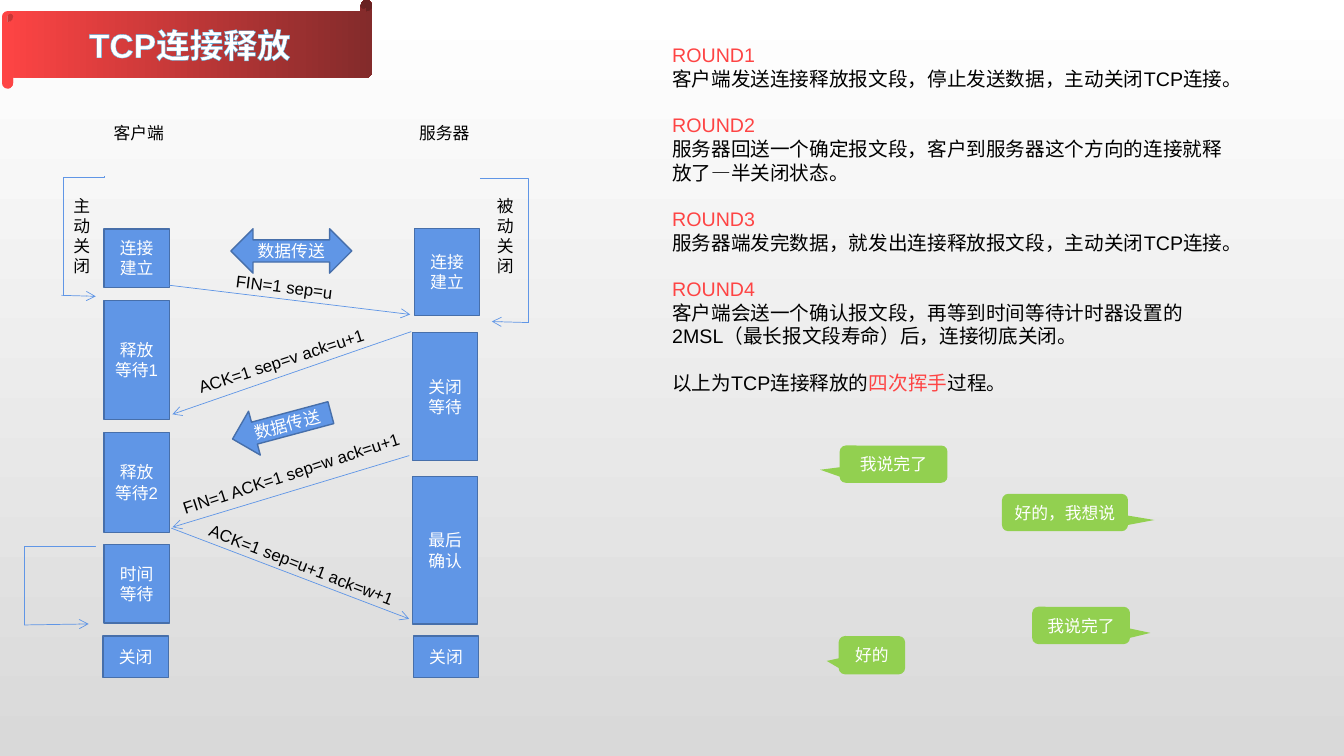
"""Build the slide on how a TCP connection is released."""
import pptx
import pptx.dml.color
import pptx.enum.dml
import pptx.enum.shapes
import pptx.enum.text
import pptx.oxml
import pptx.oxml.ns
import pptx.util

THEME = {
    "font": "Arial", "title size": 24, "body size": 14, "label size": 12,
    "white": "FFFFFF", "black": "000000", "gray": "D9D9D9",
    "red": "FE4444", "dark red": "832B2B",
    "blue": "6096E6", "dark blue": "476FAA", "title outline": "58B6E5",
    "green": "92D050",
}
CELL = pptx.util.Inches(0.1)
COLUMNS, ROWS = 133.33, 75
SHAPE = pptx.enum.shapes.MSO_SHAPE
CONNECTOR = pptx.enum.shapes.MSO_CONNECTOR
COLOR = {name: pptx.dml.color.RGBColor.from_string(value)
         for name, value in THEME.items() if name not in ("font",) and isinstance(value, str)}

presentation = pptx.Presentation()
presentation.slide_width = int(COLUMNS * CELL)
presentation.slide_height = ROWS * CELL
slide = presentation.slides.add_slide(presentation.slide_layouts[6])


def add_label(box, text, kind=None, fill=None, line=None, size="label size", rotation=0):
    """Place text in a preset shape, or in a plain text box when no kind is given."""
    bounds = [int(length * CELL) for length in box]
    if kind is None:
        shape = slide.shapes.add_textbox(*bounds)
    else:
        shape = slide.shapes.add_shape(kind, *bounds)
        shape.shadow.inherit = False
        shape.text_frame.vertical_anchor = pptx.enum.text.MSO_ANCHOR.MIDDLE
        if fill:
            shape.fill.solid()
            shape.fill.fore_color.rgb = COLOR[fill]
        if line:
            shape.line.color.rgb = COLOR[line]
            shape.line.width = pptx.util.Pt(1)
        else:
            shape.line.fill.background()
    shape.rotation = rotation
    shape.text_frame.word_wrap = True
    shape.text_frame.text = text
    paragraph = shape.text_frame.paragraphs[0]
    if kind is not None:
        paragraph.alignment = pptx.enum.text.PP_ALIGN.CENTER
    paragraph.font.name = THEME["font"]
    paragraph.font.size = pptx.util.Pt(THEME[size])
    paragraph.font.color.rgb = COLOR["black" if kind is None else "white"]
    return shape


def add_line(points, kind=CONNECTOR.STRAIGHT, arrow=True):
    """Draw a thin blue connector between two grid points."""
    connector = slide.shapes.add_connector(kind, *[int(length * CELL) for length in points])
    connector.line.color.rgb = COLOR["blue"]
    connector.line.width = pptx.util.Pt(0.5)
    properties = connector.element.spPr
    if arrow:
        outline = properties.find(pptx.oxml.ns.qn("a:ln"))
        outline.append(pptx.oxml.parse_xml(
            f'<a:tailEnd {pptx.oxml.ns.nsdecls("a")} type="arrow"/>'))
    properties.append(pptx.oxml.parse_xml(f'<a:effectLst {pptx.oxml.ns.nsdecls("a")}/>'))
    return connector


title = add_label((0.2, 0, 36.7, 8.8), "TCP连接释放", SHAPE.HORIZONTAL_SCROLL, size="title size")
title.text_frame.paragraphs[0].font.bold = True
title_run = title.text_frame.paragraphs[0].runs[0]
title_run.font.bold = True
title_run.font._element.insert(0, pptx.oxml.parse_xml(
    f'<a:ln {pptx.oxml.ns.nsdecls("a")} w="6600"><a:solidFill>'
    f'<a:srgbClr val="{THEME["title outline"]}"/></a:solidFill></a:ln>'))

for fill, angle, stops in (
    (slide.background.fill, 270, ("white", "gray")),
    (title.fill, 0, ("red", "dark red")),
):
    fill.gradient()
    fill.gradient_angle = angle
    for stop, name in zip(fill.gradient_stops, stops):
        stop.color.rgb = COLOR[name]

for left, text in ((10.3, "客户端"), (40.6, "服务器")):
    heading = add_label((left, 11.7, 7, 3), text)
    heading.text_frame.word_wrap = False

STATE_WIDTH = 6.5
for left, top, height, text in (
    (10.3, 22.7, 5.8, "连接建立"),
    (10.3, 29.8, 11.8, "释放等待1"),
    (10.3, 42.9, 9.9, "释放等待2"),
    (10.3, 54, 7.8, "时间等待"),
    (10.2, 63.1, 4.1, "关闭"),
    (41.1, 22.7, 8.6, "连接建立"),
    (40.9, 33, 12.7, "关闭等待"),
    (40.9, 47.3, 14.6, "最后确认"),
    (41, 63.1, 4.1, "关闭"),
):
    add_label((left, top, STATE_WIDTH, height), text, SHAPE.RECTANGLE, "blue", "dark blue")

for left, text in ((6.3, "主动关闭"), (48.3, "被动关闭")):
    add_label((left, 18.9, 4.1, 9.1), text)

for points, preset, quarter_turns, bend, arrow_points in (
    ((2.4, 21.4, 14.3, 25.5), "bentConnector3", 1, 500, (6.1, 29.3, 9.5, 29.4)),
    ((47.6, 17.7, 52.4, 32), "bentConnector2", 0, None, (52.4, 32, 48.8, 31.9)),
    ((2, 54.6, 9.9, 61.6), "bentConnector3", 1, 800, (2.4, 62, 8.8, 61.9)),
):
    bracket = add_line(points, CONNECTOR.ELBOW, arrow=False)
    bracket.element.spPr.xfrm.set("rot", str(quarter_turns * 5400000))
    geometry = bracket.element.spPr.find(pptx.oxml.ns.qn("a:prstGeom"))
    geometry.set("prst", preset)
    if bend:
        geometry.find(pptx.oxml.ns.qn("a:avLst")).append(pptx.oxml.parse_xml(
            f'<a:gd {pptx.oxml.ns.nsdecls("a")} name="adj1" fmla="val {bend}"/>'))
    add_line(arrow_points)

for points, box, rotation, text in (
    ((16.8, 28.3, 40.7, 31.2), (22.4, 27.1, 14, 3), 7, "FIN=1 sep=u"),
    ((40.8, 32.9, 17.1, 41.1), (18.3, 34, 21, 3), 342, "ACK=1 sep=v ack=u+1"),
    ((40.6, 45.2, 17.1, 52.3), (16.6, 45.1, 26.7, 3), 342, "FIN=1 ACK=1 sep=w ack=u+1"),
    ((17, 52.4, 40.6, 61.4), (19.2, 54.6, 21.9, 3), 21, "ACK=1 sep=u+1 ack=w+1"),
):
    add_line(points)
    add_label(box, text, rotation=rotation)

for box, kind, rotation in (
    ((22.9, 22.7, 12, 4.4), SHAPE.LEFT_RIGHT_ARROW, 0),
    ((22.9, 40, 10.1, 4.5), SHAPE.LEFT_ARROW, 345),
):
    add_label(box, "数据传送", kind, "blue", "dark blue", rotation=rotation)

TAIL_LEFT, TAIL_RIGHT = (-0.68, 0.15), (0.71, 0.2)
for box, tail, text in (
    ((83.3, 44.2, 10.7, 3.7), TAIL_LEFT, "我说完了"),
    ((99.4, 49, 12.5, 3.7), TAIL_RIGHT, "好的，我想说"),
    ((102.4, 60.2, 9.7, 3.7), TAIL_RIGHT, "我说完了"),
    ((83.2, 63.1, 6.6, 3.8), TAIL_LEFT, "好的"),
):
    bubble = add_label(box, text, SHAPE.ROUNDED_RECTANGULAR_CALLOUT, "green")
    for index, share in enumerate(tail):
        bubble.adjustments[index] = share

explanation = slide.shapes.add_textbox(*[int(length * CELL) for length in (65.7, 3.8, 57.7, 36.3)])
explanation.text_frame.word_wrap = True
for index, (parts, starts_block) in enumerate((
    ((("ROUND1", "red"),), False),
    ((("客户端发送连接释放报文段，停止发送数据，主动关闭TCP连接。", "black"),), False),
    ((("ROUND2", "red"),), True),
    ((("服务器回送一个确定报文段，客户到服务器这个方向的连接就释放了—半关闭状态。", "black"),), False),
    ((("ROUND3", "red"),), True),
    ((("服务器端发完数据，就发出连接释放报文段，主动关闭TCP连接。", "black"),), False),
    ((("ROUND4", "red"),), True),
    ((("客户端会送一个确认报文段，再等到时间等待计时器设置的2MSL（最长报文段寿命）后，连接彻底关闭。", "black"),), False),
    ((("以上为TCP连接释放的", "black"), ("四次挥手", "red"), ("过程。", "black")), True),
)):
    frame = explanation.text_frame
    paragraph = frame.add_paragraph() if index else frame.paragraphs[0]
    if starts_block:
        paragraph.space_before = pptx.util.Pt(16.5)
    paragraph.font.name = THEME["font"]
    paragraph.font.size = pptx.util.Pt(THEME["body size"])
    for text, color in parts:
        run = paragraph.add_run()
        run.text = text
        run.font.color.rgb = COLOR[color]

presentation.save("out.pptx")
